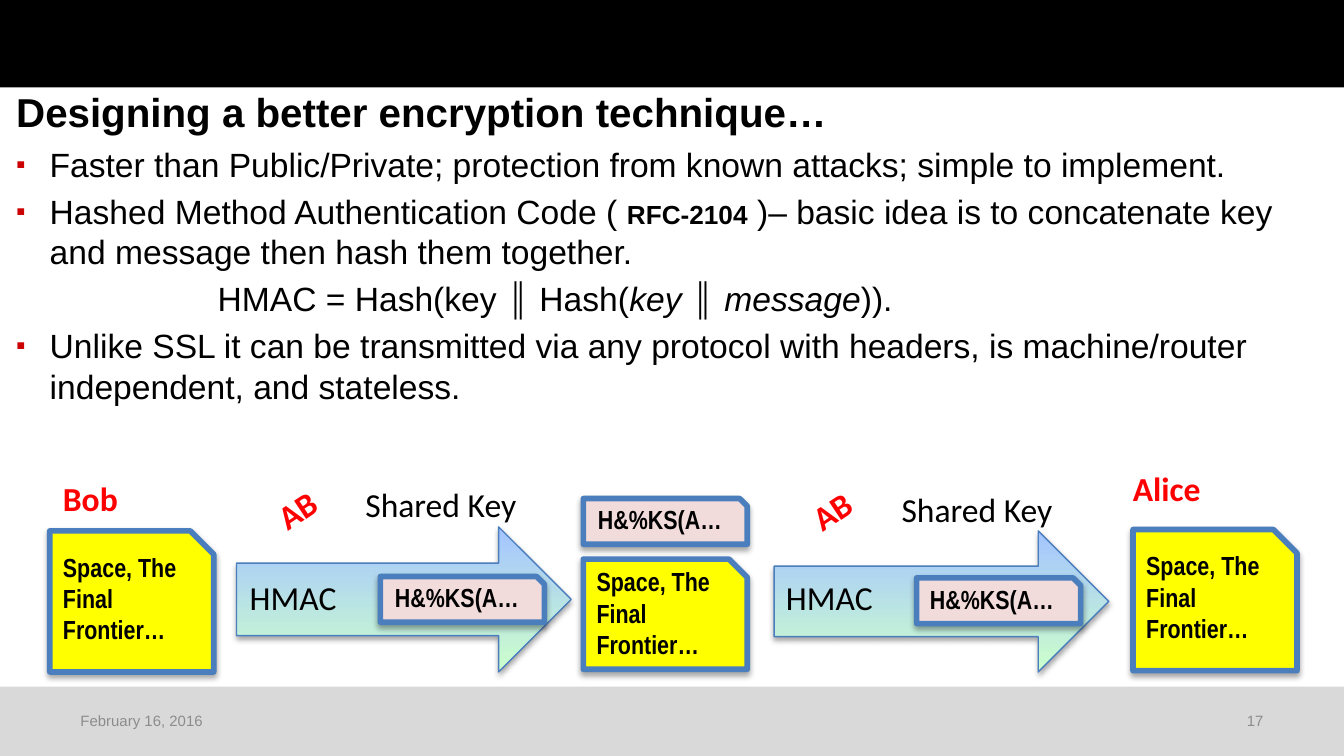
from dataclasses import dataclass

from lxml.etree import SubElement
from pptx import Presentation
from pptx.dml.color import RGBColor
from pptx.enum.shapes import MSO_SHAPE
from pptx.enum.text import MSO_ANCHOR, PP_ALIGN
from pptx.oxml.ns import qn
from pptx.util import Inches, Pt


@dataclass(frozen=True)
class Theme:
    """Colours, fonts and type sizes of the slide."""

    black: str = "000000"
    band: str = "D9D9D9"
    muted: str = "8C8C8C"
    red: str = "FF0000"
    bullet: str = "CC0000"
    outline: str = "4B7EBC"
    message: str = "FFFF00"
    digest: str = "F2DCDB"
    arrow_start: str = "CCFFCC"
    arrow_end: str = "A4C4FF"
    body_font: str = "Arial"
    card_font: str = "Arial Narrow"
    label_font: str = "Calibri"
    title_size: float = 21.6
    body_size: float = 18
    card_size: float = 14
    footer_size: float = 8


class SlideBuilder:
    """Adds styled elements to one slide."""

    def __init__(self, slide, theme):
        """Keep the slide and its theme."""
        self.slide = slide
        self.theme = theme

    def run(self, paragraph, text, font, size, color, bold=False, italic=False):
        """Append one formatted run."""
        run = paragraph.add_run()
        run.text = text
        run.font.name = font
        run.font.size = Pt(size)
        run.font.bold = bold
        run.font.italic = italic
        run.font.color.rgb = RGBColor.from_string(color)

    def frame(self, shape, anchor=MSO_ANCHOR.TOP, side=0.1, wrap=True):
        """Set the margins, anchor and wrapping of a text frame."""
        frame = shape.text_frame
        frame.word_wrap = wrap
        frame.vertical_anchor = anchor
        frame.margin_left = frame.margin_right = Inches(side)
        frame.margin_top = frame.margin_bottom = Inches(0.05)
        return frame

    def title(self, text, left, top, width, height):
        """Place and fill the title placeholder."""
        shape = self.slide.shapes.title
        shape.left, shape.top = Inches(left), Inches(top)
        shape.width, shape.height = Inches(width), Inches(height)
        paragraph = self.frame(shape, MSO_ANCHOR.MIDDLE, 0).paragraphs[0]
        paragraph.alignment = PP_ALIGN.LEFT
        theme = self.theme
        self.run(paragraph, text, theme.body_font, theme.title_size, theme.black, bold=True)

    def text(self, text, left, top, width, height, font, size, color, bold=False,
             anchor=MSO_ANCHOR.TOP, align=PP_ALIGN.LEFT, wrap=True, rotation=0):
        """Add a text box with a single run."""
        box = self.slide.shapes.add_textbox(*map(Inches, (left, top, width, height)))
        box.rotation = rotation
        paragraph = self.frame(box, anchor, wrap=wrap).paragraphs[0]
        paragraph.alignment = align
        self.run(paragraph, text, font, size, color, bold)

    def label(self, text, left, top, width, height=0.4, highlight=False, rotation=0):
        """Add a diagram label, red and bold when highlighted."""
        theme = self.theme
        color = theme.red if highlight else theme.black
        self.text(text, left, top, width, height, theme.label_font, theme.body_size,
                  color, highlight, wrap=rotation != 0, rotation=rotation)

    def footer(self, text, left, width, align):
        """Add one footer entry."""
        theme = self.theme
        self.text(text, left, 5.21, width, 0.3, theme.body_font, theme.footer_size,
                  theme.muted, anchor=MSO_ANCHOR.MIDDLE, align=align)

    def body(self, paragraphs, left, top, width, height):
        """Add body paragraphs given as a bullet flag and styled runs."""
        theme = self.theme
        box = self.slide.shapes.add_textbox(*map(Inches, (left, top, width, height)))
        frame = self.frame(box, side=0)
        for index, (bulleted, runs) in enumerate(paragraphs):
            paragraph = frame.add_paragraph() if index else frame.paragraphs[0]
            if index:
                paragraph.space_before = Pt(3.6)
            properties = paragraph._p.get_or_add_pPr()
            properties.set("marL", str(Inches(0.25 if bulleted else 1.5)))
            properties.set("indent", str(Inches(-0.25 if bulleted else 0)))
            if bulleted:
                color = SubElement(properties, qn("a:buClr"))
                SubElement(color, qn("a:srgbClr"), val=theme.bullet)
                SubElement(properties, qn("a:buSzPct"), val="80000")
                SubElement(properties, qn("a:buFont"), typeface=theme.body_font)
                SubElement(properties, qn("a:buChar"), char="▪")
            for text, style in runs:
                options = {"size": theme.body_size, **style}
                self.run(paragraph, text, theme.body_font, color=theme.black, **options)

    def band(self, top, height, color):
        """Add a full-width band."""
        shape = self.slide.shapes.add_shape(
            MSO_SHAPE.RECTANGLE, *map(Inches, (0, top, 10, height)))
        shape.shadow.inherit = False
        shape.fill.solid()
        shape.fill.fore_color.rgb = RGBColor.from_string(color)
        shape.line.fill.background()

    def outlined(self, kind, left, top, width, height, line_width):
        """Add an outlined shape with a soft shadow."""
        shape = self.slide.shapes.add_shape(kind, *map(Inches, (left, top, width, height)))
        shape.line.color.rgb = RGBColor.from_string(self.theme.outline)
        shape.line.width = Pt(line_width)
        shape.shadow.inherit = False
        effects = shape._element.spPr.find(qn("a:effectLst"))
        shadow = SubElement(effects, qn("a:outerShdw"), blurRad=str(Pt(3.1)),
                            dist=str(Pt(1.8)), dir="5400000", rotWithShape="0")
        color = SubElement(shadow, qn("a:srgbClr"), val=self.theme.black)
        SubElement(color, qn("a:alpha"), val="35000")
        return shape

    def arrow(self, left, top, width, height):
        """Add a block arrow with a vertical gradient."""
        shape = self.outlined(MSO_SHAPE.RIGHT_ARROW, left, top, width, height, 0.75)
        shape.fill.gradient()
        shape.fill.gradient_angle = 90
        colors = (self.theme.arrow_start, self.theme.arrow_end)
        for stop, color in zip(shape.fill.gradient_stops, colors):
            stop.color.rgb = RGBColor.from_string(color)

    def card(self, text, left, top, height, color, text_left, text_top, text_height=0.34):
        """Add a snipped card and its text."""
        theme = self.theme
        shape = self.outlined(MSO_SHAPE.SNIP_1_RECTANGLE, left, top, 1.22, height, 3)
        shape.fill.solid()
        shape.fill.fore_color.rgb = RGBColor.from_string(color)
        self.text(text, text_left, text_top, 1.22, text_height,
                  theme.card_font, theme.card_size, theme.black, bold=True)

    def message(self, left, top, height, text_top):
        """Add a message card."""
        self.card("Space, The Final Frontier…", left, top, height, self.theme.message,
                  left, text_top, 0.81)

    def digest(self, left, top, text_left):
        """Add a digest card."""
        self.card("H&%KS(A…", left, top, 0.34, self.theme.digest, text_left, top - 0.01)


def main():
    """Build and save the slide."""
    presentation = Presentation()
    presentation.slide_width = Inches(10)
    presentation.slide_height = Inches(10 * 9 / 16)
    slide = presentation.slides.add_slide(presentation.slide_layouts[5])
    theme = Theme()
    builder = SlideBuilder(slide, theme)

    builder.band(5.11, 0.52, theme.band)
    builder.band(0, 0.65, theme.black)
    builder.title("Designing a better encryption technique…", 0.12, 0.58, 9.88, 0.5)
    italic = {"italic": True}
    builder.body([
        (True, [("Faster than Public/Private; protection from known attacks; "
                 "simple to implement.", {})]),
        (True, [("Hashed Method Authentication Code ( ", {}),
                ("RFC-2104", {"size": theme.card_size, "bold": True}),
                (" )– basic idea is to concatenate key and message then hash "
                 "them together.", {})]),
        (False, [("HMAC = Hash(key ∥ Hash(", {}), ("key", italic), (" ∥ ", {}),
                 ("message", italic), (")).", {})]),
        (True, [("Unlike SSL it can be transmitted via any protocol with headers, "
                 "is machine/router independent, and stateless.", {})]),
    ], 0.12, 1.02, 9.78, 2.29)
    builder.footer("February 16, 2016", 0.5, 1.4, PP_ALIGN.LEFT)
    builder.footer("17", 8, 1.5, PP_ALIGN.RIGHT)

    builder.message(0.37, 3.95, 1.05, 4.05)
    builder.message(4.34, 4.16, 0.82, 4.16)
    builder.message(8.43, 3.94, 1.05, 4.04)
    builder.label("Bob", 0.37, 3.51, 0.78, 0.49, highlight=True)
    builder.label("Alice", 8.33, 3.43, 0.91, 0.49, highlight=True)

    for left, arrow_top, arrow_height, label_left, key_top, secret, digest in (
            (1.76, 3.92, 1.08, 1.76, 3.55, (1.96, 3.58), (2.83, 4.29, 2.84)),
            (5.76, 3.95, 1.05, 5.75, 3.59, (5.94, 3.59), (6.82, 4.3, 6.82))):
        builder.arrow(left, arrow_top, 2.49, arrow_height)
        builder.label("HMAC", label_left, 4.24, 0.86)
        builder.label("Shared Key", label_left + 0.86, key_top, 1.35)
        builder.label("AB", *secret, 0.53, highlight=True, rotation=326.2)
        builder.digest(*digest)
    builder.digest(4.34, 3.71, 4.35)
    presentation.save("out.pptx")


if __name__ == "__main__":
    main()
